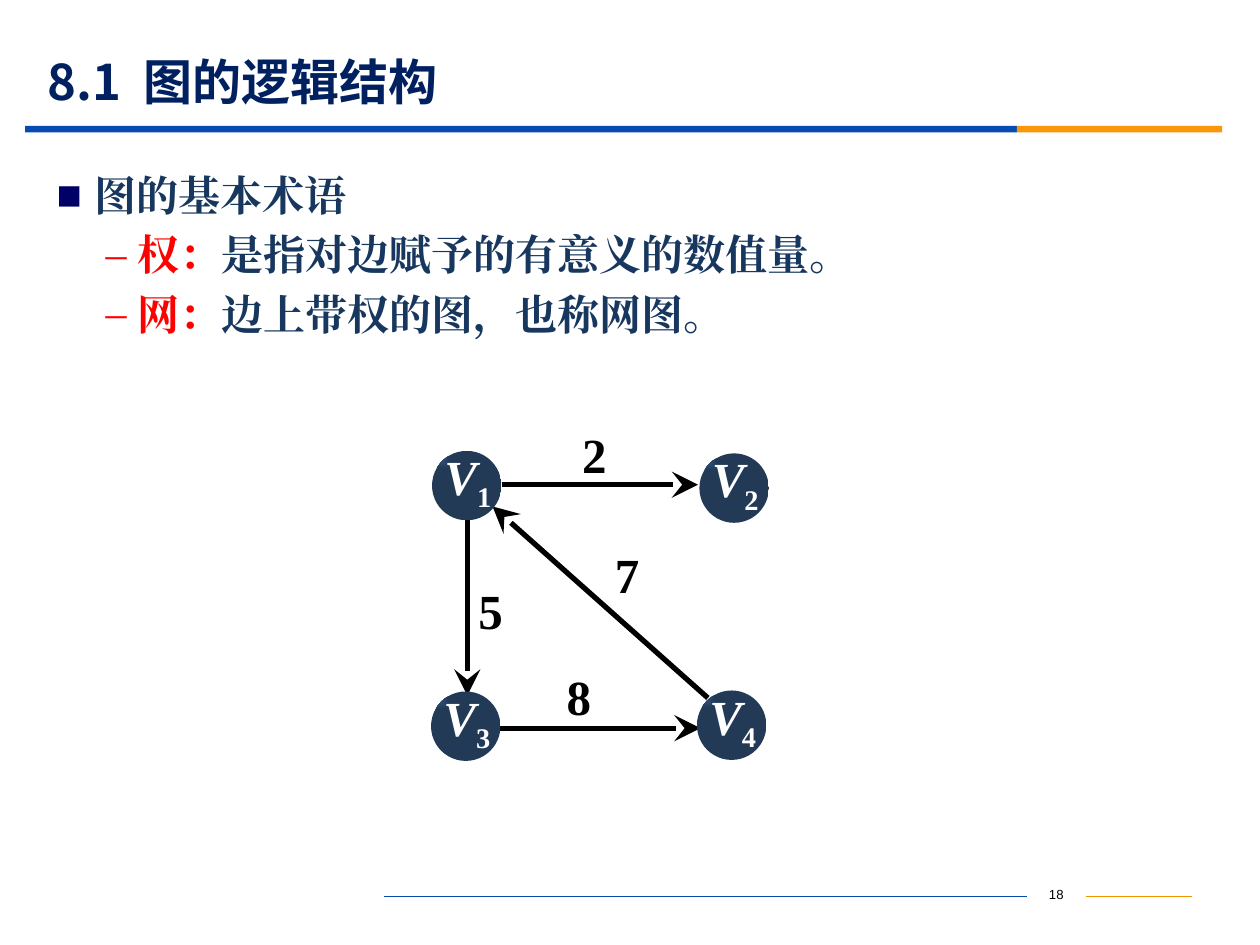
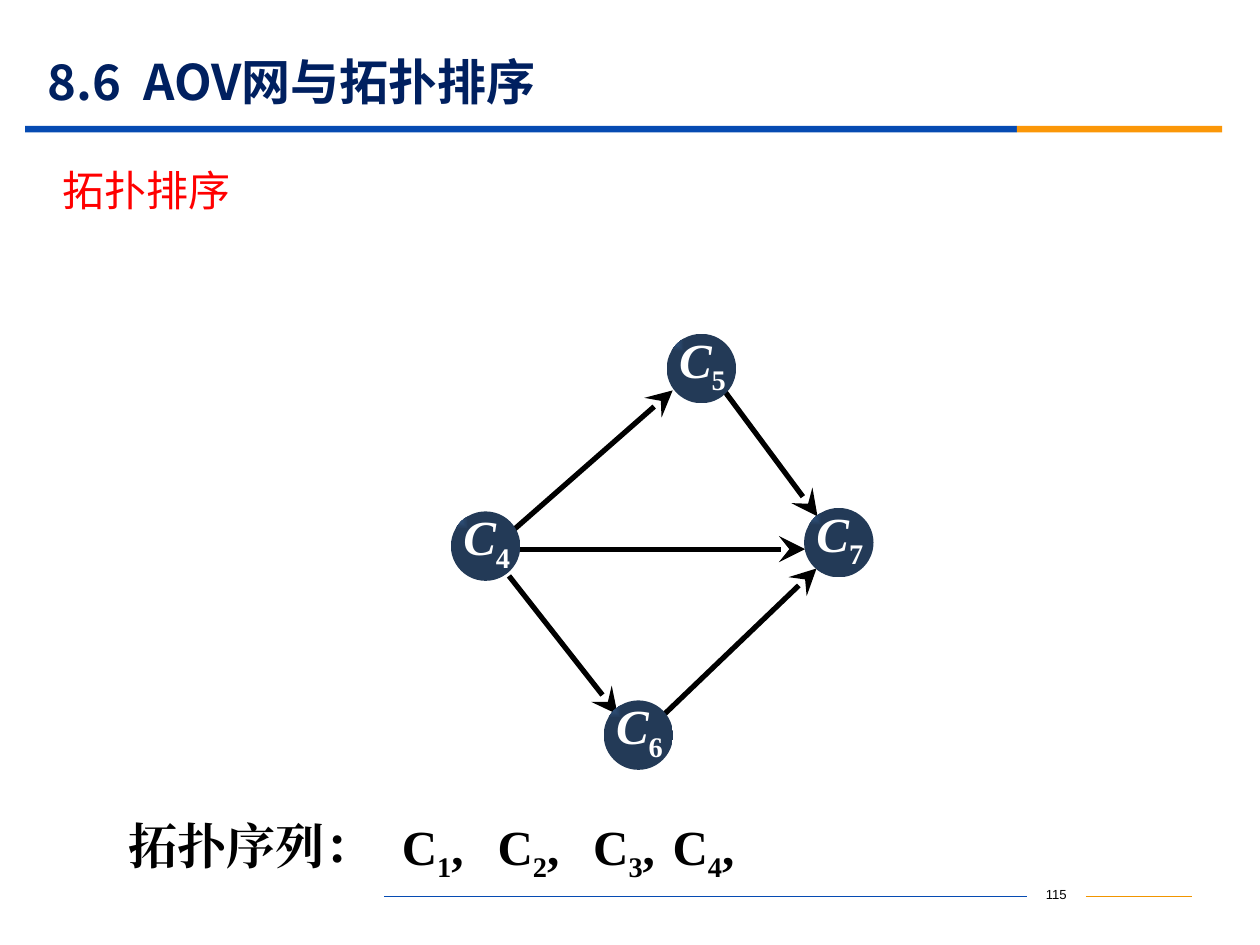
import lxml.etree
import pptx
import pptx.dml.color
import pptx.enum.shapes
import pptx.enum.text
import pptx.oxml.ns
import pptx.util

Cm = pptx.util.Cm
Pt = pptx.util.Pt
RGBColor = pptx.dml.color.RGBColor
ALIGN = pptx.enum.text.PP_ALIGN
SHAPE = pptx.enum.shapes.MSO_SHAPE

NAVY = RGBColor(0x00, 0x20, 0x60)
SLATE = RGBColor(0x17, 0x37, 0x5E)
BLUE = RGBColor(0x06, 0x4B, 0xB2)
AMBER = RGBColor(0xFB, 0x97, 0x08)
GOLD = RGBColor(0xF1, 0x95, 0x00)
RED = RGBColor(0xFF, 0x00, 0x00)
BLACK = RGBColor(0x00, 0x00, 0x00)
WHITE = RGBColor(0xFF, 0xFF, 0xFF)
GLOW = RGBColor(0x3D, 0x6C, 0xA8)
SHADE = RGBColor(0x23, 0x3A, 0x57)

SANS = "Noto Sans CJK SC"
SERIF = "Times New Roman"


def add_tag(parent, tag, **attrs):
    return lxml.etree.SubElement(parent, pptx.oxml.ns.qn(tag), attrs)


def write(para, text, size=28, font=SERIF, color=BLACK, bold=True, slant=False, sub=False):
    run = para.add_run()
    run.text = text
    face = run.font
    face.size, face.name, face.bold, face.italic = Pt(size), font, bold, slant
    face.color.rgb = color
    props = run._r.get_or_add_rPr()
    add_tag(props, "a:ea", typeface=font)
    if sub:
        props.set("baseline", "-25000")


class Deck:
    def __init__(self):
        self.show = pptx.Presentation()
        self.show.slide_width, self.show.slide_height = Cm(25.4), Cm(19.05)
        self.slide = None

    def start(self, title, page):
        self.slide = self.show.slides.add_slide(self.show.slide_layouts[5])
        head = self.slide.shapes.title
        head.left, head.top, head.width, head.height = Cm(0.71), Cm(1.09), Cm(22.86), Cm(1.09)
        frame = head.text_frame
        frame.auto_size = pptx.enum.text.MSO_AUTO_SIZE.NONE
        frame.vertical_anchor = pptx.enum.text.MSO_ANCHOR.MIDDLE
        frame.paragraphs[0].alignment = ALIGN.LEFT
        write(frame.paragraphs[0], title, font=SANS, color=NAVY)
        self.band(0.51, 19.99, BLUE)
        self.band(20.5, 4.14, AMBER)
        self.line((7.75, 18.08), (20.7, 18.08), BLUE, 0.75)
        self.line((21.89, 18.08), (24.03, 18.08), GOLD, 0.75)
        number = self.box(20.7, 17.75, 1.19, 0.64, ALIGN.CENTER)
        write(number, page, size=7.5, font="Arial", bold=False)

    def band(self, x, width, color):
        bar = self.slide.shapes.add_shape(SHAPE.RECTANGLE, Cm(x), Cm(2.54), Cm(width), Cm(0.13))
        bar.shadow.inherit = False
        bar.fill.solid()
        bar.fill.fore_color.rgb = color
        bar.line.fill.background()

    def box(self, x, y, width, height, align=ALIGN.LEFT, inset=None):
        frame = self.slide.shapes.add_textbox(Cm(x), Cm(y), Cm(width), Cm(height)).text_frame
        frame.word_wrap = True
        if inset is not None:
            frame.margin_left = frame.margin_top = Cm(inset)
            frame.margin_right = frame.margin_bottom = 0
        para = frame.paragraphs[0]
        para.alignment = align
        return para

    def line(self, start, end, color=BLACK, width=3, arrow=False):
        ends = [Cm(value) for value in start + end]
        link = self.slide.shapes.add_connector(pptx.enum.shapes.MSO_CONNECTOR.STRAIGHT, *ends)
        link.line.color.rgb = color
        link.line.width = Pt(width)
        if arrow:
            add_tag(link.line._get_or_add_ln(), "a:tailEnd", type="stealth", w="lg", len="lg")
        add_tag(link._element.spPr, "a:effectLst")

    def arrows(self, pairs):
        for start, end in pairs:
            self.line(start, end, arrow=True)

    def nodes(self, letter, spots):
        for digit, x, y in spots:
            ball = self.slide.shapes.add_shape(SHAPE.OVAL, Cm(x), Cm(y), Cm(1.4), Cm(1.4))
            ball.shadow.inherit = False
            ball.line.fill.background()
            ball.fill.gradient()
            stops = ball.fill.gradient_stops
            stops[0].color.rgb, stops[1].color.rgb = GLOW, SHADE
            stops[1].position = 0.5
            grad = ball._element.spPr.find(pptx.oxml.ns.qn("a:gradFill"))
            grad.remove(grad.find(pptx.oxml.ns.qn("a:lin")))
            route = add_tag(grad, "a:path", path="rect")
            add_tag(route, "a:fillToRect", r="100000", b="100000")
            para = self.box(x + 0.2, y - 0.14, 1.3, 1.65, inset=0.05)
            write(para, letter, color=WHITE, slant=True)
            write(para, digit, color=WHITE, sub=True)

    def bullets(self, items):
        para = self.box(0.89, 3.3, 22.86, 2.8)
        frame = para._parent
        for index, (mark, tint, left, hang, parts) in enumerate(items):
            if index:
                para = frame.add_paragraph()
            para.space_before = Pt(5)
            props = para._p.get_or_add_pPr()
            props.set("marL", str(Cm(left)))
            props.set("indent", str(-Cm(hang)))
            add_tag(add_tag(props, "a:buClr"), "a:srgbClr", val=tint)
            add_tag(props, "a:buFont", typeface=SERIF)
            add_tag(props, "a:buChar", char=mark)
            for text, color in parts:
                write(para, text, size=24, color=color)


def draw_net(deck):
    deck.start("8.1  图的逻辑结构", "18")
    dash = ("–", "FF0000", 1.63, 0.64)
    deck.bullets([
        ("■", "000066", 0.76, 0.76, [("图的基本术语", SLATE)]),
        (*dash, [("权：", RED), ("是指对边赋予的有意义的数值量。", SLATE)]),
        (*dash, [("网：", RED), ("边上带权的图，也称网图。", SLATE)]),
    ])
    deck.arrows([
        ((10.11, 9.77), (14.07, 9.77)),
        ((9.42, 10.49), (9.42, 14.02)),
        ((10.01, 14.68), (14.12, 14.68)),
        ((14.27, 14.07), (9.93, 10.21)),
    ])
    deck.nodes("V", [("1", 8.71, 9.09), ("2", 14.1, 9.14),
                     ("3", 8.69, 13.94), ("4", 14.05, 13.92)])
    for weight, x, y in [("2", 11.18, 8.43), ("7", 11.84, 10.85),
                         ("8", 10.87, 13.31), ("5", 9.09, 11.58)]:
        write(deck.box(x, y, 1.6, 1.45, ALIGN.CENTER), weight)


def draw_sort(deck):
    deck.start("8.6  AOV网与拓扑排序", "115")
    write(deck.box(1.02, 3.2, 16.54, 1.27), "拓扑排序", size=24, font=SANS, color=RED, bold=False)
    deck.arrows([
        ((10.31, 10.72), (13.56, 7.87)),
        ((10.26, 11.61), (12.45, 14.4)),
        ((10.39, 11.07), (16.23, 11.07)),
        ((13.39, 14.4), (16.46, 11.46)),
        ((14.58, 7.85), (16.48, 10.41)),
    ])
    deck.nodes("C", [("4", 9.09, 10.31), ("6", 12.17, 14.12),
                     ("5", 13.44, 6.73), ("7", 16.21, 10.24)])
    write(deck.box(2.34, 16.31, 6.1, 1.45), "拓扑序列：")
    for digit, x in zip("1234", (7.85, 9.78, 11.71, 13.31)):
        item = deck.box(x, 16.34, 2.06, 1.45)
        write(item, "C")
        write(item, digit, sub=True)
        write(item, ",")


def main():
    deck = Deck()
    draw_net(deck)
    draw_sort(deck)
    deck.show.save("out.pptx")


if __name__ == "__main__":
    main()
